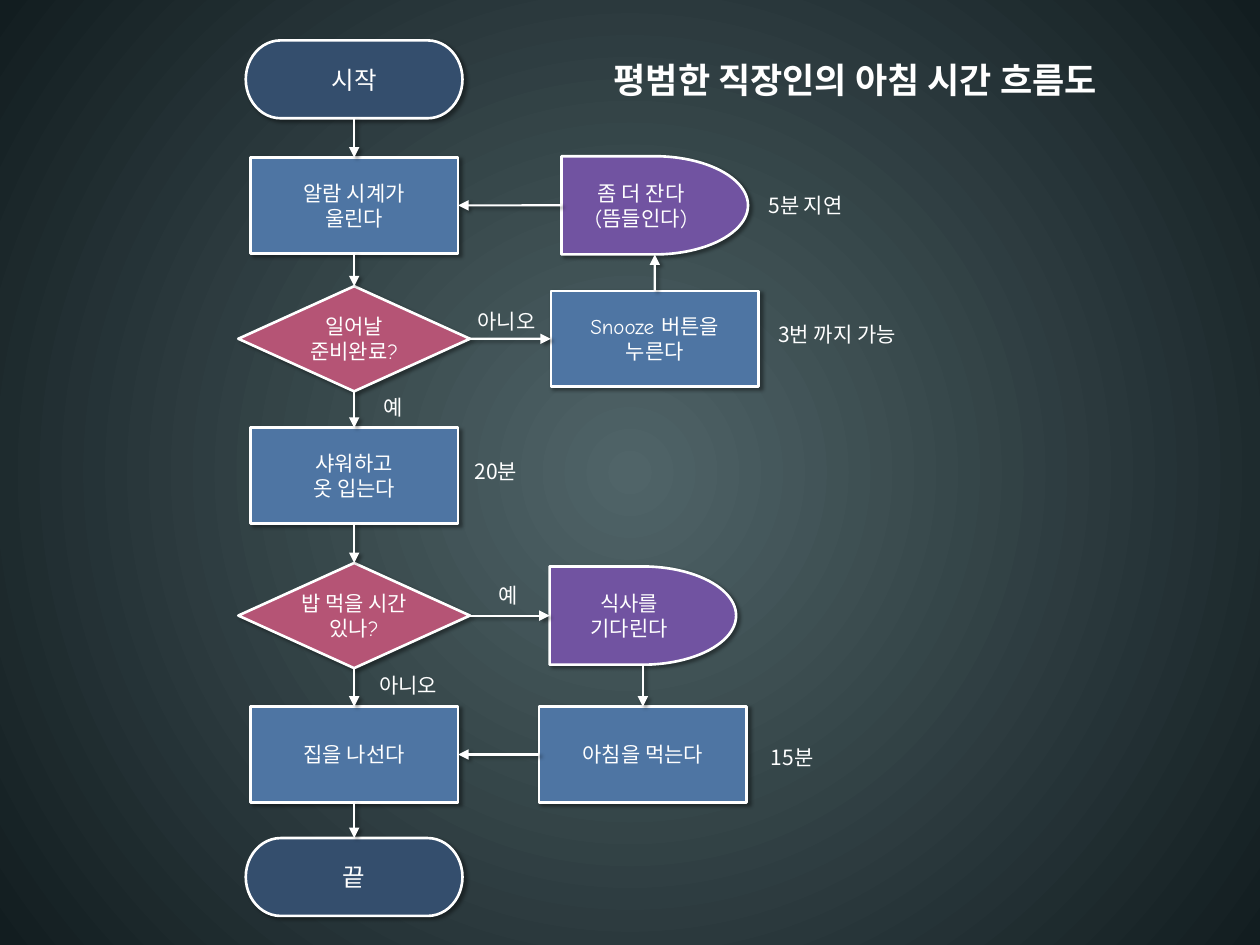
import pptx
import pptx.util
import pptx.dml.color
import pptx.enum.dml
import pptx.enum.shapes
import pptx.enum.text
import pptx.oxml
import pptx.oxml.ns

Cm = pptx.util.Cm
Pt = pptx.util.Pt
RGB = pptx.dml.color.RGBColor.from_string
MSO_SHAPE = pptx.enum.shapes.MSO_SHAPE
PP_ALIGN = pptx.enum.text.PP_ALIGN
qn = pptx.oxml.ns.qn
NS = pptx.oxml.ns.nsdecls("a")

COLORS = {
    "center": "506468", "edge": "121D20", "white": "FFFFFF",
    "terminator": "344E6D", "process": "4E75A3",
    "decision": "B55475", "delay": "7153A1",
}
SHADOW = (
    f'<a:effectLst {NS}><a:outerShdw blurRad="25400" dist="25400" dir="2400000" '
    'algn="tl" rotWithShape="0"><a:srgbClr val="000000"><a:alpha val="40000"/>'
    '</a:srgbClr></a:outerShdw></a:effectLst>'
)


def set_font(paragraph, size, latin, bold=False):
    paragraph.font.size = Pt(size)
    paragraph.font.bold = bold
    paragraph.font.color.rgb = RGB(COLORS["white"])
    paragraph.font.name = latin
    east_asian = pptx.oxml.parse_xml(f'<a:ea {NS} typeface="Noto Sans CJK KR"/>')
    paragraph.font._element.find(qn("a:latin")).addnext(east_asian)


def outline_and_shadow(shape, width):
    """Give a shape or connector its white line and soft shadow."""
    shape.line.color.rgb = RGB(COLORS["white"])
    shape.line.width = Pt(width)
    properties = shape._element.spPr
    for effects in properties.findall(qn("a:effectLst")):
        properties.remove(effects)
    properties.append(pptx.oxml.parse_xml(SHADOW))


presentation = pptx.Presentation()
presentation.slide_width = Cm(25.4)
presentation.slide_height = Cm(19.05)
slide = presentation.slides.add_slide(presentation.slide_layouts[6])

# Radial background
background = slide.background.fill
background.gradient()
for stop, name, position in zip(background.gradient_stops, ("center", "edge"), (0, 1)):
    stop.color.rgb = RGB(COLORS[name])
    stop.position = position
gradient = next(slide._element.iter(qn("a:gradFill")))
gradient.remove(gradient.find(qn("a:lin")))
gradient.append(pptx.oxml.parse_xml(
    f'<a:path {NS} path="circle">'
    '<a:fillToRect l="50000" t="50000" r="50000" b="50000"/></a:path>'))

# Flowchart steps: kind -> preset, width, height, text size
KINDS = {
    "terminator": (MSO_SHAPE.FLOWCHART_TERMINATOR, 4.37, 1.57, 14),
    "process": (MSO_SHAPE.FLOWCHART_PROCESS, 4.19, 1.93, 12),
    "decision": (MSO_SHAPE.FLOWCHART_DECISION, 4.67, 2.12, 12),
    "delay": (MSO_SHAPE.FLOWCHART_DELAY, 3.76, 1.98, 12),
}
MAIN, SNOOZE, MEAL = 7.14, 13.2, 12.96  # column centres
STEPS = [  # name, kind, centre x, centre y, text
    ("start", "terminator", MAIN, 1.6, "시작"),
    ("alarm", "process", MAIN, 4.14, "알람 시계가\v울린다"),
    ("ready", "decision", MAIN, 6.83, "일어날\v준비완료?"),
    ("shower", "process", MAIN, 9.59, "샤워하고\v옷 입는다"),
    ("hungry", "decision", MAIN, 12.41, "밥 먹을 시간 있나?"),
    ("leave", "process", MAIN, 15.21, "집을 나선다"),
    ("end", "terminator", MAIN, 17.68, "끝"),
    ("doze", "delay", SNOOZE, 4.14, "좀 더 잔다\v(뜸들인다)"),
    ("snooze", "process", SNOOZE, 6.83, "Snooze 버튼을\v누른다"),
    ("wait", "delay", MEAL, 12.41, "식사를\v기다린다"),
    ("eat", "process", MEAL, 15.21, "아침을 먹는다"),
]
steps = {}
for name, kind, x, y, text in STEPS:
    preset, width, height, size = KINDS[kind]
    shape = slide.shapes.add_shape(
        preset, Cm(x - width / 2), Cm(y - height / 2), Cm(width), Cm(height))
    shape.fill.solid()
    shape.fill.fore_color.rgb = RGB(COLORS[kind])
    outline_and_shadow(shape, 1.5)
    frame = shape.text_frame
    frame.word_wrap = True
    frame.margin_left = frame.margin_right = 0
    frame.vertical_anchor = pptx.enum.text.MSO_ANCHOR.MIDDLE
    paragraph = frame.paragraphs[0]
    paragraph.text = text
    paragraph.alignment = PP_ALIGN.CENTER
    set_font(paragraph, size, "Comic Neue")
    steps[name] = shape

# Arrows between connection sites
TOP, LEFT, BOTTOM, RIGHT = range(4)
main_path = ["start", "alarm", "ready", "shower", "hungry", "leave", "end"]
ARROWS = [(a, BOTTOM, b, TOP) for a, b in zip(main_path, main_path[1:])] + [
    ("ready", RIGHT, "snooze", LEFT),
    ("snooze", TOP, "doze", BOTTOM),
    ("doze", LEFT, "alarm", RIGHT),
    ("hungry", RIGHT, "wait", LEFT),
    ("wait", BOTTOM, "eat", TOP),
    ("eat", LEFT, "leave", RIGHT),
]
for source, source_site, target, target_site in ARROWS:
    arrow = slide.shapes.add_connector(
        pptx.enum.shapes.MSO_CONNECTOR.STRAIGHT, 0, 0, 0, 0)
    arrow.begin_connect(steps[source], source_site)
    arrow.end_connect(steps[target], target_site)
    outline_and_shadow(arrow, 1.25)
    arrow.line._get_or_add_ln().append(
        pptx.oxml.parse_xml(f'<a:tailEnd {NS} type="triangle"/>'))

# Title, time notes and branch labels
LABELS = [  # text, left, top, width, height, alignment, size
    ("평범한 직장인의 아침 시간 흐름도", 12.12, 0.64, 12.29, 1.37, PP_ALIGN.LEFT, 20),
    ("5분 지연", 15.24, 3.76, 2.77, 0.76, PP_ALIGN.LEFT, 12),
    ("3번 까지 가능", 15.44, 6.35, 3.38, 0.76, PP_ALIGN.LEFT, 12),
    ("20분", 9.32, 9.12, 2.77, 0.76, PP_ALIGN.LEFT, 12),
    ("15분", 15.29, 14.88, 2.77, 0.76, PP_ALIGN.LEFT, 12),
    ("예", 7.33, 7.82, 1.19, 0.76, PP_ALIGN.CENTER, 12),
    ("아니오", 7.14, 13.44, 2.18, 0.76, PP_ALIGN.CENTER, 12),
    ("예", 9.64, 11.61, 1.19, 0.76, PP_ALIGN.CENTER, 12),
    ("아니오", 9.12, 6.1, 2.18, 0.76, PP_ALIGN.CENTER, 12),
]
for text, left, top, width, height, alignment, size in LABELS:
    is_title = size == 20
    label = slide.shapes.add_textbox(Cm(left), Cm(top), Cm(width), Cm(height))
    label.text_frame.word_wrap = True
    label.text_frame.auto_size = pptx.enum.text.MSO_AUTO_SIZE.SHAPE_TO_FIT_TEXT
    paragraph = label.text_frame.paragraphs[0]
    paragraph.text = text
    paragraph.alignment = alignment
    if is_title:
        paragraph.line_spacing = 1.5
    set_font(paragraph, size, "Noto Sans CJK KR", is_title)

presentation.save("out.pptx")
